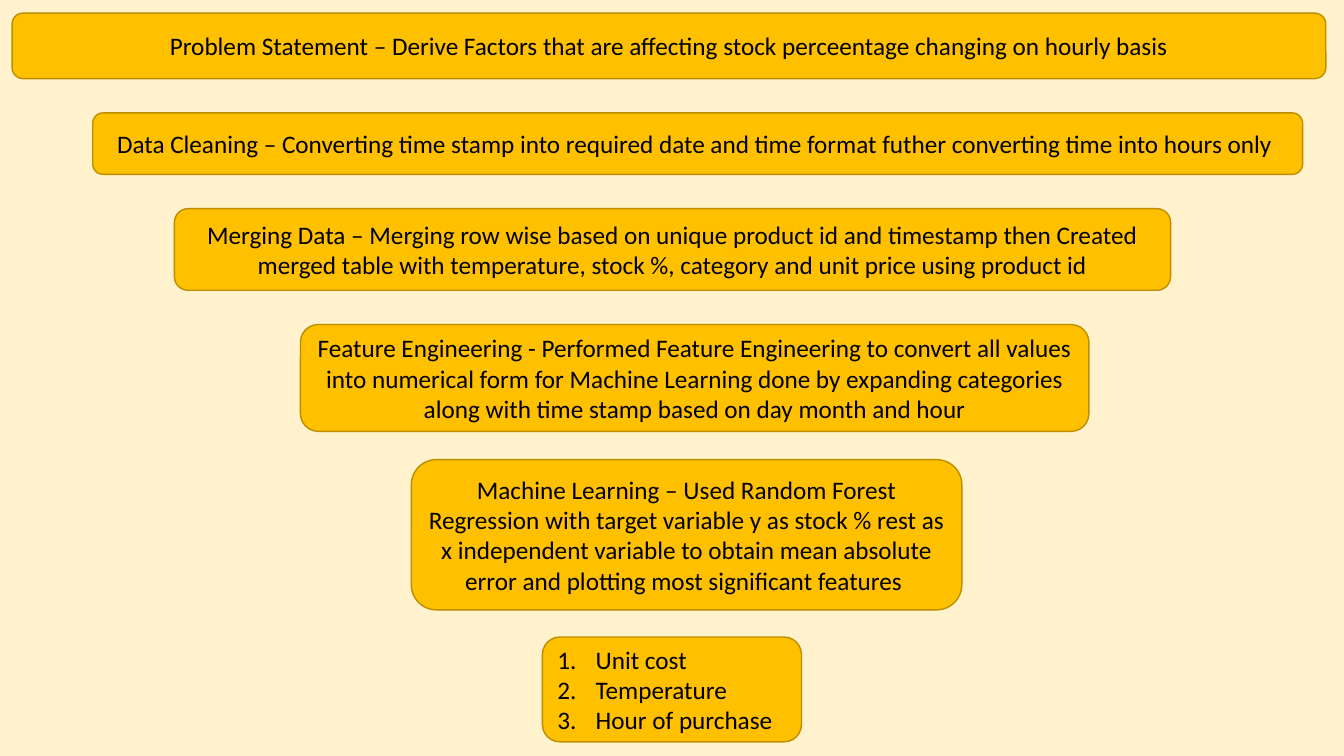
from lxml import etree
from pptx import Presentation
from pptx.dml.color import RGBColor
from pptx.enum.shapes import MSO_SHAPE
from pptx.enum.text import MSO_ANCHOR, PP_ALIGN
from pptx.oxml.ns import qn
from pptx.util import Inches, Pt

CREAM = RGBColor(0xFF, 0xF2, 0xCC)
AMBER = RGBColor(0xFF, 0xC0, 0x00)
BRONZE = RGBColor(0xBD, 0x8E, 0x00)
BLACK = RGBColor(0, 0, 0)
ROUNDED = MSO_SHAPE.FLOWCHART_ALTERNATE_PROCESS
MIDDLE = MSO_ANCHOR.MIDDLE
CENTER = PP_ALIGN.CENTER
JUSTIFY = PP_ALIGN.JUSTIFY

# Each step: left, top, width, height, text
STEPS = [
    (0.12, 0.13, 13.03, 0.65,
     "Problem Statement – Derive Factors that are affecting stock "
     "perceentage changing on hourly basis"),
    (0.92, 1.12, 12, 0.61,
     "Data Cleaning – Converting time stamp into required date and time "
     "format futher converting time into hours only "),
    (1.73, 2.07, 9.88, 0.81,
     "Merging Data – Merging row wise based on unique product id and "
     "timestamp then Created merged table with temperature, stock %, "
     "category and unit price using product id"),
    (2.98, 3.22, 7.82, 1.06,
     "Feature Engineering - Performed Feature Engineering to convert all "
     "values into numerical form for Machine Learning done by expanding "
     "categories along with time stamp based on day month and hour"),
    (4.08, 4.56, 5.46, 1.49,
     "Machine Learning – Used Random Forest Regression with target variable "
     "y as stock % rest as x independent variable to obtain mean absolute "
     "error and plotting most significant features "),
]
FACTORS_AREA = (5.38, 6.32, 2.57, 1.04)
FACTORS = ["Unit cost", "Temperature", "Hour of purchase"]


class FunnelSlide:
    """Holds the slide and the shared style of its boxes."""

    font_name = "Calibri"
    font_size = Pt(18)
    indent = Inches(0.38)

    def __init__(self, deck):
        """Add a blank page with a cream background."""
        self.page = deck.slides.add_slide(deck.slide_layouts[6])
        background = self.page.background.fill
        background.solid()
        background.fore_color.rgb = CREAM

    def box(self, left, top, width, height):
        """Draw an empty rounded box and return its text frame."""
        box = self.page.shapes.add_shape(
            ROUNDED, Inches(left), Inches(top), Inches(width), Inches(height))
        box.shadow.inherit = False
        box.fill.solid()
        box.fill.fore_color.rgb = AMBER
        box.line.color.rgb = BRONZE
        box.line.width = Pt(1)
        frame = box.text_frame
        frame.word_wrap = True
        frame.vertical_anchor = MIDDLE
        return frame

    def add_text(self, para, text, alignment):
        """Put one styled run into a paragraph."""
        para.alignment = alignment
        span = para.add_run()
        span.text = text
        span.font.name = self.font_name
        span.font.size = self.font_size
        span.font.color.rgb = BLACK

    def number(self, para):
        """Give a paragraph automatic numbering with a hanging indent."""
        properties = para._p.get_or_add_pPr()
        properties.set("marL", str(self.indent))
        properties.set("indent", str(-self.indent))
        etree.SubElement(properties, qn("a:buFont"), typeface="+mj-lt")
        etree.SubElement(properties, qn("a:buAutoNum"), type="arabicPeriod")

    def step(self, left, top, width, height, text):
        """Draw a box with one centred sentence."""
        frame = self.box(left, top, width, height)
        self.add_text(frame.paragraphs[0], text, CENTER)

    def numbered_list(self, area, items):
        """Draw a box with a numbered list."""
        frame = self.box(*area)
        for index, item in enumerate(items):
            para = frame.add_paragraph() if index else frame.paragraphs[0]
            self.add_text(para, item, JUSTIFY)
            self.number(para)


def main():
    """Build the deck and save it."""
    deck = Presentation()
    deck.slide_width = Inches(13.33)
    deck.slide_height = Inches(7.5)
    funnel = FunnelSlide(deck)
    for step in STEPS:
        funnel.step(*step)
    funnel.numbered_list(FACTORS_AREA, FACTORS)
    deck.save("out.pptx")


main()
